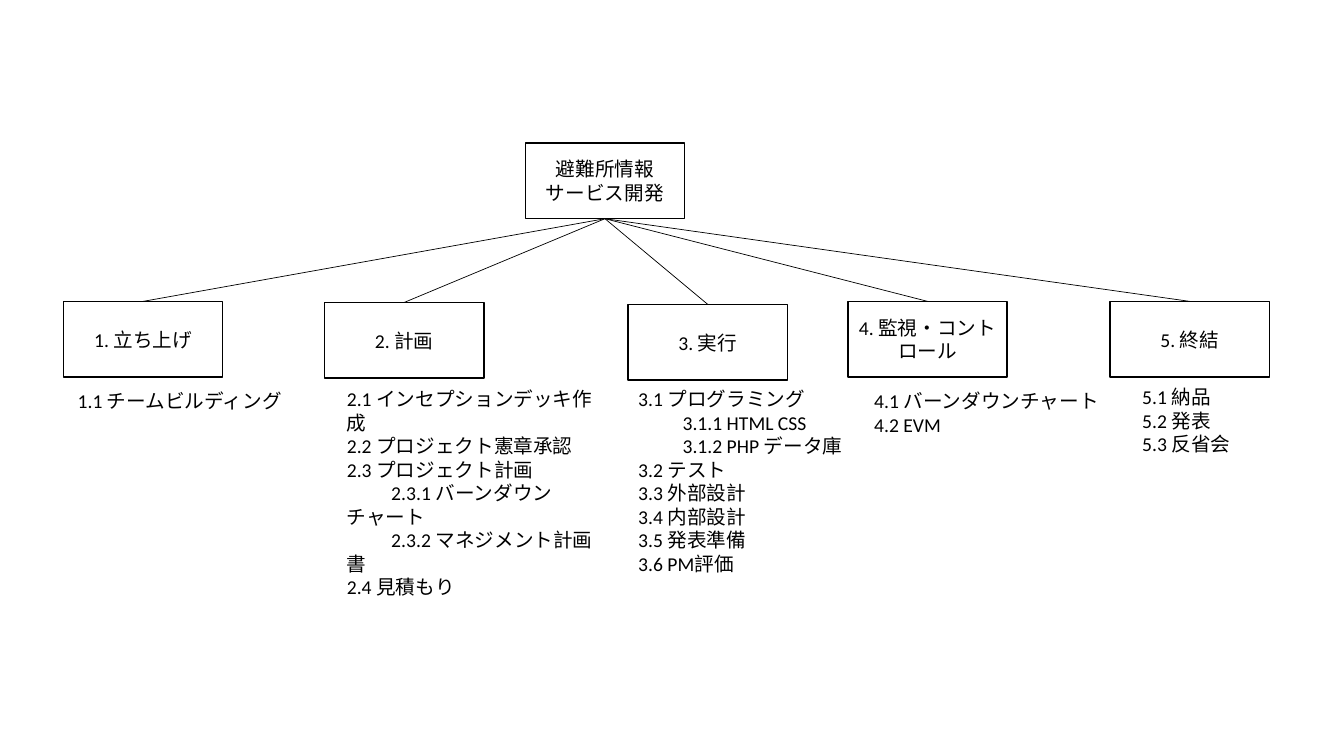
import dataclasses
import typing

import lxml.etree
import pptx
import pptx.dml.color
import pptx.enum.shapes
import pptx.enum.text
import pptx.oxml.ns
import pptx.util

Inches = pptx.util.Inches
Align = pptx.enum.text.PP_ALIGN
Anchor = pptx.enum.text.MSO_ANCHOR
AutoSize = pptx.enum.text.MSO_AUTO_SIZE

COLORS = {"ink": "000000", "paper": "FFFFFF"}
FONT = "Calibri"
BOX_WIDTH, BOX_HEIGHT = Inches(1.58), Inches(0.75)
LINE_HEIGHT, LIST_PADDING = 0.24, 0.1
SUBITEM_INDENT = Inches(0.44)


@dataclasses.dataclass(frozen=True)
class Phase:
    """A phase of the project with its work items; a leading ">" marks a subitem."""

    heading: str
    left: float
    top: float
    list_left: float
    list_top: float
    items: tuple[str, ...]
    list_width: float = 2.67


PHASES = (
    Phase("1. 立ち上げ", 0.63, 2.99, 0.67, 3.81, ("1.1 チームビルディング",), 2.26),
    Phase("2. 計画", 3.22, 3.0, 3.34, 3.79, (
        "2.1 インセプションデッキ作成", "2.2 プロジェクト憲章承認", "2.3 プロジェクト計画",
        ">2.3.1 バーンダウンチャート", ">2.3.2 マネジメント計画書", "2.4 見積もり")),
    Phase("3. 実行", 6.23, 3.02, 6.23, 3.79, (
        "3.1 プログラミング", ">3.1.1 HTML CSS", ">3.1.2 PHP データ庫", "3.2 テスト",
        "3.3 外部設計", "3.4 内部設計", "3.5 発表準備", "3.6 PM評価")),
    Phase("4. 監視・コントロール", 8.41, 2.99, 8.57, 3.81,
          ("4.1 バーンダウンチャート", "4.2 EVM")),
    Phase("5. 終結", 11.01, 2.99, 11.23, 3.77, ("5.1 納品", "5.2 発表", "5.3 反省会")),
)


def rgb(name: str) -> pptx.dml.color.RGBColor:
    """Return the named colour."""
    return pptx.dml.color.RGBColor.from_string(COLORS[name])


def write(shape: typing.Any, lines: typing.Sequence[str], *, align: Align = Align.LEFT,
          anchor: Anchor = Anchor.TOP, auto_size: AutoSize = AutoSize.NONE,
          size: float = 14, color: str = "ink") -> None:
    """Write one unbulleted paragraph per line, indenting subitems."""
    frame = shape.text_frame
    frame.word_wrap = True
    frame.auto_size = auto_size
    frame.vertical_anchor = anchor
    frame.text = "\n".join(line.removeprefix(">") for line in lines)
    for line, paragraph in zip(lines, frame.paragraphs):
        paragraph.alignment = align
        paragraph.line_spacing = 1.0
        paragraph.space_before = paragraph.space_after = pptx.util.Pt(0)
        properties = paragraph._p.get_or_add_pPr()
        properties.set("marL", "0")
        properties.set("indent", str(SUBITEM_INDENT if line.startswith(">") else 0))
        lxml.etree.SubElement(properties, pptx.oxml.ns.qn("a:buNone"))
        for run in paragraph.runs:
            run.font.name = FONT
            run.font.size = pptx.util.Pt(size)
            run.font.bold = False
            run.font.color.rgb = rgb(color)


def place(shape: typing.Any, left: float, top: float, width: int, height: int) -> None:
    """Move and size a shape."""
    shape.left, shape.top = Inches(left), Inches(top)
    shape.width, shape.height = width, height


def style_box(box: typing.Any, lines: typing.Sequence[str]) -> None:
    """Outline a box and centre its text."""
    box.fill.solid()
    box.fill.fore_color.rgb = rgb("paper")
    box.line.color.rgb = rgb("ink")
    box.line.width = pptx.util.Pt(1)
    write(box, lines, align=Align.CENTER, anchor=Anchor.MIDDLE)


def draw_heading(slide: typing.Any, phase: Phase) -> typing.Any:
    """Draw the heading box of a phase."""
    heading = slide.shapes.add_shape(
        pptx.enum.shapes.MSO_SHAPE.RECTANGLE, Inches(phase.left), Inches(phase.top),
        BOX_WIDTH, BOX_HEIGHT)
    heading.shadow.inherit = False
    style_box(heading, [phase.heading])
    return heading


def draw_items(work_items: typing.Any, phase: Phase) -> None:
    """Place and fill the list of work items of a phase."""
    height = Inches(LIST_PADDING + LINE_HEIGHT * len(phase.items))
    place(work_items, phase.list_left, phase.list_top, Inches(phase.list_width), height)
    write(work_items, phase.items, auto_size=AutoSize.SHAPE_TO_FIT_TEXT)


def draw_branch(slide: typing.Any, project: typing.Any, heading: typing.Any) -> None:
    """Connect the bottom of the project box to the top of a heading."""
    branch = slide.shapes.add_connector(pptx.enum.shapes.MSO_CONNECTOR.STRAIGHT, 0, 0, 0, 0)
    branch.begin_connect(project, 2)
    branch.end_connect(heading, 0)
    branch.line.color.rgb = rgb("ink")
    branch.line.width = pptx.util.Pt(0.5)
    lxml.etree.SubElement(branch._element.spPr, pptx.oxml.ns.qn("a:effectLst"))


def main() -> None:
    """Build the work breakdown slide."""
    presentation = pptx.Presentation()
    presentation.slide_width, presentation.slide_height = Inches(13.33), Inches(7.5)
    comparison_layout = presentation.slide_layouts[4]
    slide = presentation.slides.add_slide(comparison_layout)

    project = slide.shapes.title
    place(project, 5.21, 1.42, BOX_WIDTH, BOX_HEIGHT)
    style_box(project, ["避難所情報", "サービス開発"])

    work_lists = [body for body in slide.placeholders if body.placeholder_format.idx > 0]
    work_lists.append(slide.shapes.add_textbox(0, 0, 0, 0))
    for phase, work_items in zip(PHASES, work_lists):
        draw_items(work_items, phase)
        draw_branch(slide, project, draw_heading(slide, phase))

    presentation.save("out.pptx")


if __name__ == "__main__":
    main()
